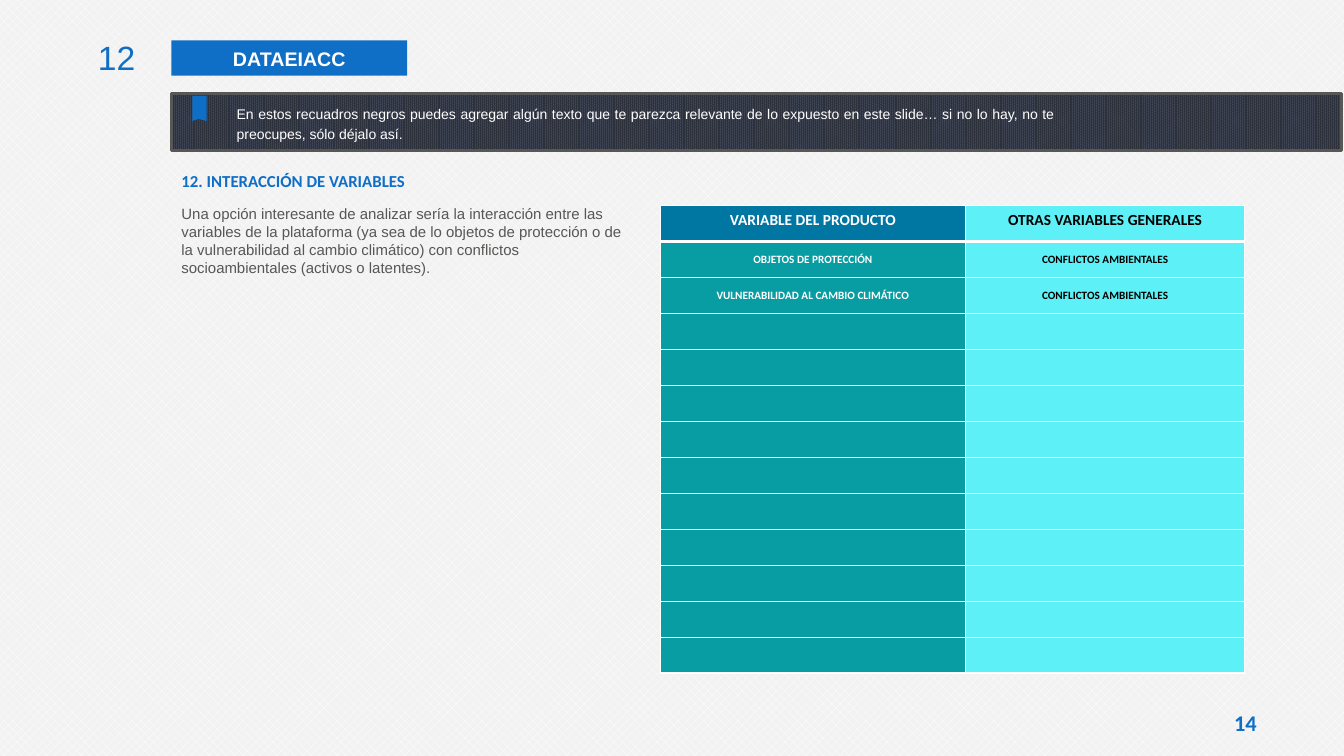
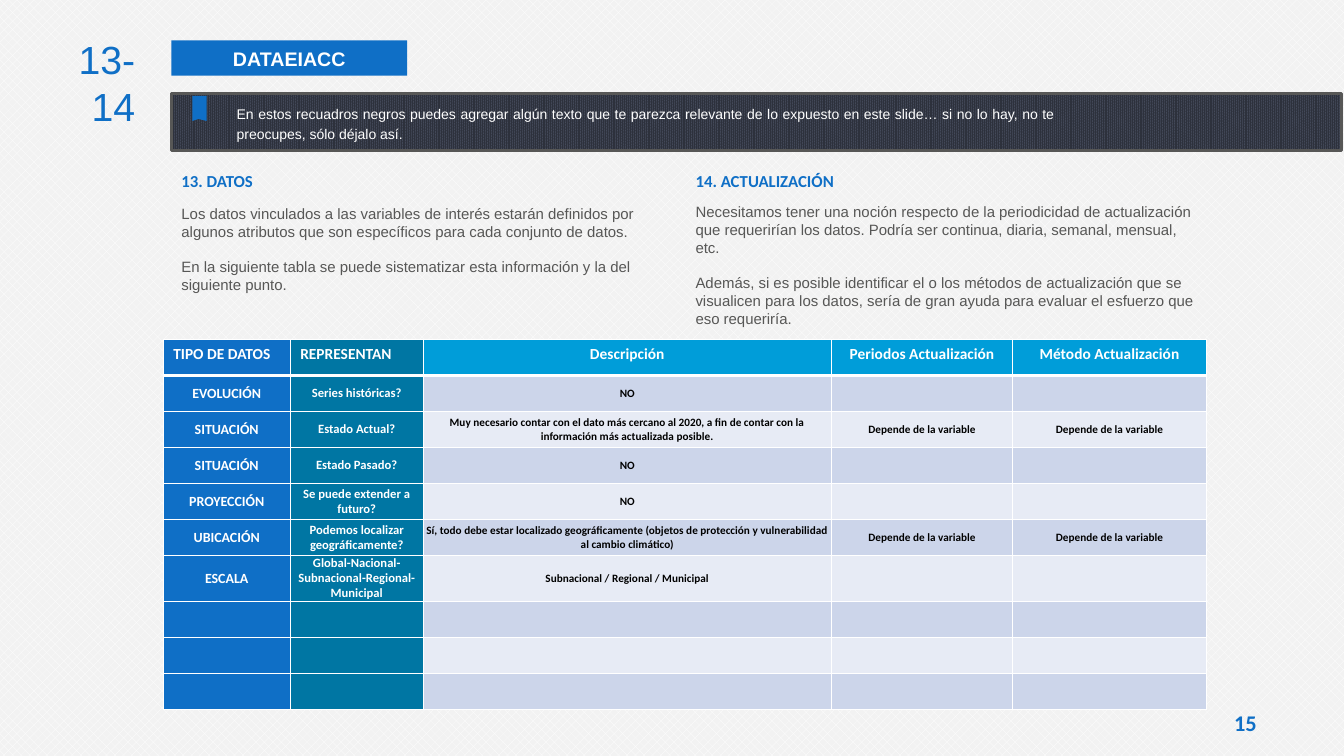
"""Build two slides on data variables and their updating."""
import itertools
import pptx
import pptx.util
import pptx.dml.color
import pptx.enum.dml
import pptx.enum.shapes
import pptx.enum.text
import pptx.oxml
import pptx.oxml.ns

Pt = pptx.util.Pt
ALIGN = pptx.enum.text.PP_ALIGN
ANCHOR = pptx.enum.text.MSO_ANCHOR
PATTERN = pptx.enum.dml.MSO_PATTERN
RECT = pptx.enum.shapes.MSO_SHAPE.RECTANGLE

BLUE, TEAL, SKY = "0F6FC6", "0076A3", "009DD9"
SEA, AQUA = "089CA3", "5EF0F7"
GRAY, WHITE, BLACK = "575756", "FFFFFF", "000000"
BANDS = ["CCD5EA", "E7EBF5"]
LEFT, TOP, ROW = 122.4, 67, 25.7

TITLE = "DATAEIACC"
NOTE = ("En estos recuadros negros puedes agregar algún texto que te parezca relevante de lo "
        "expuesto en este slide… si no lo hay, no te preocupes, sólo déjalo así.")
VARIES = ["Depende de la variable"] * 2

SLIDES = [
    {"page": "14", "number": "12", "size": 24, "box": (56.2, 23, 47.5, 36),
     "parts": [
         ("12. INTERACCIÓN DE VARIABLES", (LEFT, 118.1, 357.1, 21.6),
          ["Una opción interesante de analizar sería la interacción entre las variables de la "
           "plataforma (ya sea de lo objetos de protección o de la vulnerabilidad al cambio "
           "climático) con conflictos socioambientales (activos o latentes)."],
          (LEFT, 142.6, 336.2, 46))],
     "table": {
         "at": (471.6, 146.9), "count": 13,
         "cols": [
             {"head": "VARIABLE DEL PRODUCTO", "width": 218.2, "top": TEAL,
              "fills": [SEA], "size": 8, "ink": WHITE},
             {"head": "OTRAS VARIABLES GENERALES", "width": 199.4, "top": AQUA,
              "fills": [AQUA], "size": 8, "ink": BLACK, "headink": BLACK}],
         "rows": [
             ["OBJETOS DE PROTECCIÓN", "CONFLICTOS AMBIENTALES"],
             ["VULNERABILIDAD AL CAMBIO CLIMÁTICO", "CONFLICTOS AMBIENTALES"]]}},
    {"page": "15", "number": "13-14", "size": 28, "box": (21.6, 21.6, 82.1, 41),
     "parts": [
         ("13. DATOS", (LEFT, 118.1, 357.1, 21.6),
          ["Los datos vinculados a las variables de interés estarán definidos por algunos "
           "atributos que son específicos para cada conjunto de datos.",
           "En la siguiente tabla se puede sistematizar esta información y la del siguiente punto."],
          (LEFT, 142.6, 354.2, 71.3)),
         ("14. ACTUALIZACIÓN", (489.6, 118.1, 341.3, 21.6),
          ["Necesitamos tener una noción respecto de la periodicidad de actualización que "
           "requerirían los datos. Podría ser continua, diaria, semanal, mensual, etc.",
           "Además, si es posible identificar el o los métodos de actualización que se visualicen "
           "para los datos, sería de gran ayuda para evaluar el esfuerzo que eso requeriría."],
          (489.6, 141.1, 372.2, 84.2))],
     "table": {
         "at": (116.6, 242.6), "count": 10,
         "cols": [
             {"head": "TIPO DE DATOS", "width": 90.7, "top": BLUE, "fills": [BLUE],
              "size": 10, "ink": WHITE, "align": ALIGN.LEFT},
             {"head": "REPRESENTAN", "width": 95, "top": TEAL, "fills": [TEAL],
              "size": 9, "ink": WHITE, "align": ALIGN.LEFT},
             {"head": "Descripción", "width": 291.6, "top": SKY, "fills": BANDS,
              "size": 8, "ink": BLACK},
             {"head": "Periodos Actualización", "width": 129.6, "top": SKY, "fills": BANDS,
              "size": 8, "ink": BLACK},
             {"head": "Método Actualización", "width": 138.2, "top": SKY, "fills": BANDS,
              "size": 8, "ink": BLACK}],
         "rows": [
             ["EVOLUCIÓN", "Series históricas?", "NO"],
             ["SITUACIÓN", "Estado Actual?",
              "Muy necesario contar con el dato más cercano al 2020, a fin de contar con la "
              "información más actualizada posible.", *VARIES],
             ["SITUACIÓN", "Estado Pasado?", "NO"],
             ["PROYECCIÓN", "Se puede extender a futuro?", "NO"],
             ["UBICACIÓN", "Podemos localizar geográficamente?",
              "Sí, todo debe estar localizado geográficamente (objetos de protección y "
              "vulnerabilidad al cambio climático)", *VARIES],
             ["ESCALA", "Global-Nacional-Subnacional-Regional- Municipal",
              "Subnacional / Regional / Municipal"]]}},
]


def color(code):
    return pptx.dml.color.RGBColor.from_string(code)


def paint(fill, code):
    fill.solid()
    fill.fore_color.rgb = color(code)


def weave(fill, kind, fore, back):
    fill.patterned()
    fill.pattern = kind
    fill.fore_color.rgb = color(fore)
    fill.back_color.rgb = color(back)


def place(shape, box):
    shape.left, shape.top, shape.width, shape.height = map(Pt, box)


def write(frame, texts, size, ink, font="Arial", bold=False, align=ALIGN.LEFT,
          line=1.0, gap=0):
    for index, text in enumerate(texts):
        para = frame.add_paragraph() if index else frame.paragraphs[0]
        para.alignment, para.line_spacing = align, line
        para.space_before = para.space_after = Pt(gap)
        run = para.add_run()
        run.text = text
        run.font.size, run.font.name, run.font.bold = Pt(size), font, bold
        run.font.color.rgb = color(ink)


def setup(shape, box, anchor=ANCHOR.TOP):
    place(shape, box)
    frame = shape.text_frame
    frame.auto_size = pptx.enum.text.MSO_AUTO_SIZE.NONE
    frame.word_wrap, frame.vertical_anchor = True, anchor
    return frame


def label(slide, box, text, size, ink, anchor=ANCHOR.TOP, **style):
    frame = setup(slide.shapes.add_textbox(0, 0, 0, 0), box, anchor)
    write(frame, [text], size, ink, **style)
    return frame


def unlist(frame):
    for para in frame.paragraphs:
        props = para._p.get_or_add_pPr()
        props.set("marL", "0")
        props.set("indent", "0")
        props.append(pptx.oxml.parse_xml(
            f'<a:buNone {pptx.oxml.ns.nsdecls("a")}/>'))


def border(cell, head):
    props = cell._tc.get_or_add_tcPr()
    for side in "LRTB":
        width = Pt(3 if head and side == "B" else 1)
        props.append(pptx.oxml.parse_xml(
            f'<a:ln{side} {pptx.oxml.ns.nsdecls("a")} w="{width}"><a:solidFill>'
            f'<a:srgbClr val="{WHITE}"/></a:solidFill></a:ln{side}>'))


def fill_cell(cell, col, text, head, shade):
    border(cell, head)
    paint(cell.fill, shade)
    if not head:
        cell.vertical_anchor = ANCHOR.MIDDLE
        cell.margin_left = cell.margin_right = cell.margin_top = cell.margin_bottom = 0
    if text:
        size = 11 if head else col["size"]
        ink = col.get("headink", WHITE) if head else col["ink"]
        align = col.get("align", ALIGN.CENTER) if head else ALIGN.CENTER
        write(cell.text_frame, [text], size, ink, "Calibri", True, align)


def add_grid(slide, data):
    cols, count = data["cols"], data["count"]
    width = sum(col["width"] for col in cols)
    grid = slide.shapes.add_table(
        count, len(cols), *map(Pt, (*data["at"], width, ROW * count))).table
    grid.first_row = grid.horz_banding = False
    for row in grid.rows:
        row.height = Pt(ROW)
    for c, col in enumerate(cols):
        grid.columns[c].width = Pt(col["width"])
        texts = [col["head"]] + [row[c] if c < len(row) else "" for row in data["rows"]]
        shades = itertools.chain([col["top"]], itertools.cycle(col["fills"]))
        for r, text, shade in itertools.zip_longest(
                range(count), texts, itertools.islice(shades, count)):
            fill_cell(grid.cell(r, c), col, text, r == 0, shade)


def add_band(slide):
    band = slide.shapes.add_shape(RECT, *map(Pt, (LEFT, TOP, 835.9, 40.3)))
    band.shadow.inherit = False
    weave(band.fill, PATTERN.PERCENT_90, "2D313C", "444A5A")
    band.line.color.rgb, band.line.width = color(GRAY), Pt(2)
    points = [(147.6, 68.4), (147.6, 86.4), (141.8, 85), (137.5, 86.4), (137.5, 68.4)]
    points = [(Pt(x), Pt(y)) for x, y in points]
    pen = slide.shapes.build_freeform(*points[0])
    pen.add_line_segments(points[1:], close=True)
    ribbon = pen.convert_to_shape()
    ribbon.shadow.inherit = False
    paint(ribbon.fill, BLUE)
    ribbon.line.fill.background()
    label(slide, (162, TOP, 597.6, 40.3), NOTE, 10, WHITE, ANCHOR.MIDDLE,
          align=ALIGN.JUSTIFY, line=1.2)


def add_slide(deck, data):
    slide = deck.slides.add_slide(deck.slide_layouts.get_by_name("Comparison"))
    title = slide.shapes.title
    paint(title.fill, BLUE)
    write(setup(title, (LEFT, 28.8, 168.5, 25.2), ANCHOR.MIDDLE), [TITLE], 14, WHITE,
          bold=True, align=ALIGN.CENTER, line=1.1)
    holders = list(slide.placeholders)[1:]
    for part, head, body in zip(data["parts"], holders[::2], holders[1::2]):
        name, spot, texts, box = part
        frame = setup(head, spot)
        write(frame, [name], 12, BLUE, "Calibri", True)
        unlist(frame)
        frame = setup(body, box)
        write(frame, texts, 10.7, GRAY, gap=6)
        unlist(frame)
    for spare in holders[2 * len(data["parts"]):]:
        spare.element.getparent().remove(spare.element)
    label(slide, data["box"], data["number"], data["size"], BLUE, align=ALIGN.RIGHT)
    add_band(slide)
    add_grid(slide, data["table"])
    frame = label(slide, (867.6, 504, 43.9, 23.8), data["page"], 16, BLUE, ANCHOR.MIDDLE,
                  font="Calibri", bold=True, align=ALIGN.CENTER)
    frame.margin_left = frame.margin_right = Pt(3.6)
    frame.margin_top = frame.margin_bottom = Pt(1.4)


def main():
    deck = pptx.Presentation()
    deck.slide_width, deck.slide_height = Pt(960), Pt(540)
    weave(deck.slide_master.background.fill, PATTERN.ERCENT_40, WHITE, "F2F2F2")
    for data in SLIDES:
        add_slide(deck, data)
    deck.save("out.pptx")


if __name__ == "__main__":
    main()
